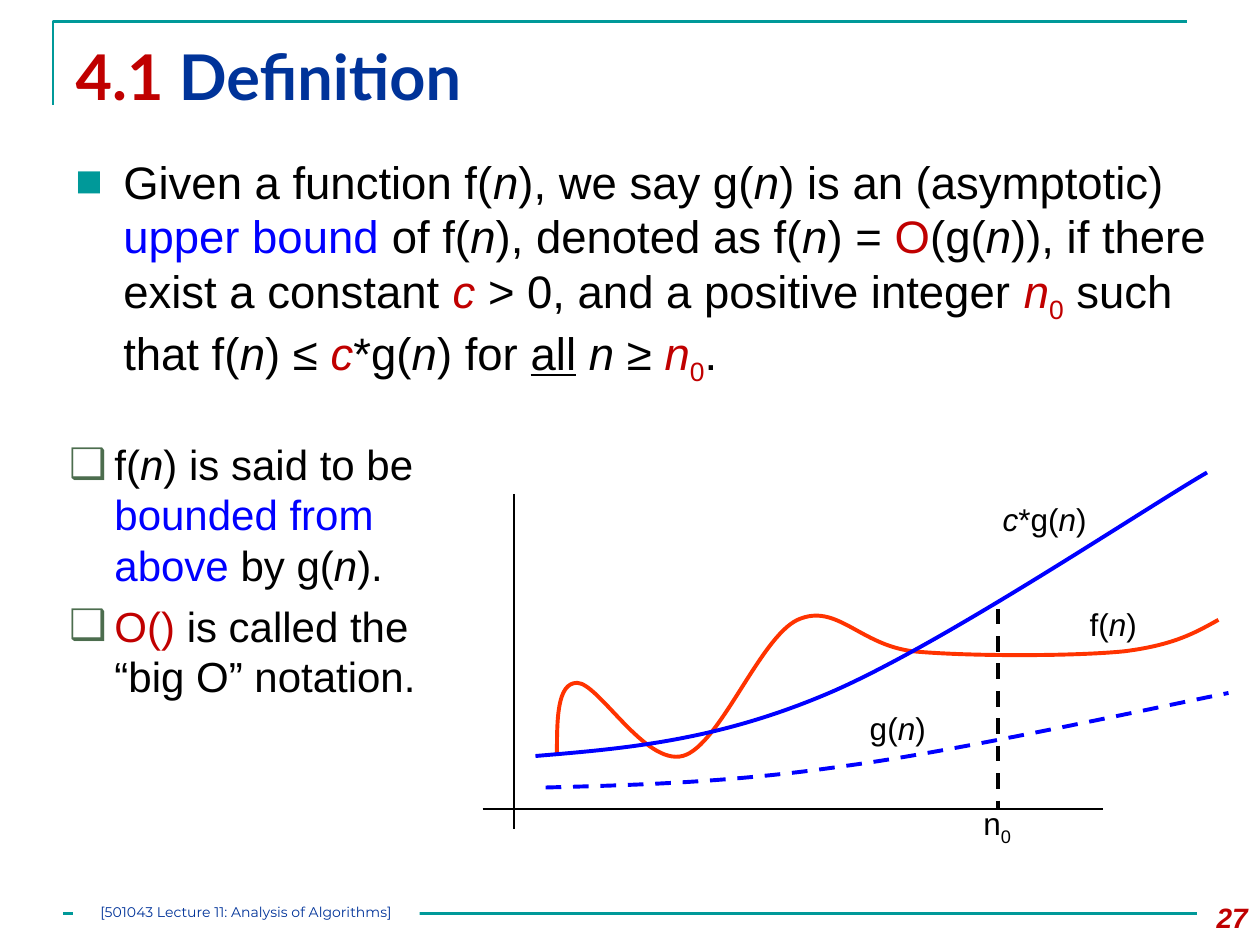
from lxml import etree
from pptx import Presentation
from pptx.dml.color import RGBColor
from pptx.enum import dml, shapes, text
from pptx.oxml import ns
from pptx.util import Inches, Pt

TEAL = RGBColor(0x00, 0x99, 0x99)
NAVY = RGBColor(0x00, 0x33, 0x99)
RED = RGBColor(0xC0, 0x00, 0x00)
BLUE = RGBColor(0x00, 0x00, 0xFF)
ORANGE = RGBColor(0xFF, 0x33, 0x00)
GREEN = RGBColor(0x4C, 0x6D, 0x4E)
BLACK = RGBColor(0x00, 0x00, 0x00)
WHITE = RGBColor(0xFF, 0xFF, 0xFF)

# Run styles: i italic, s subscript, u underlined, r red, b blue
N = ("n", "i")
N_ZERO = [("n", "ir"), ("0", "sr")]
DEFINITION = [
    ("Given a function f(", ""), N, ("), we say g(", ""), N,
    (") is an (asymptotic) ", ""), ("upper bound ", "b"), ("of f(", ""), N,
    ("), denoted as f(", ""), N, (") = ", ""), ("O", "r"), ("(g(", ""), N,
    (")), if there exist a constant ", ""), ("c ", "ir"),
    ("> 0, and a positive integer ", ""), *N_ZERO, (" such that f(", ""), N,
    (") ≤ ", ""), ("c", "ir"), ("*g(", ""), N, (") for ", ""), ("all", "u"),
    (" ", ""), N, (" ≥ ", ""), *N_ZERO, (".", ""),
]
REMARKS = [
    [("f(", ""), N, (") is said to be ", ""), ("bounded from above ", "b"),
     ("by g(", ""), N, (").", "")],
    [("O() ", "r"), ("is called the “big O” notation.", "")],
]
LABELS = [
    (7.75, 3.92, 1.08, [("c", "i"), ("*g(", ""), N, (")", "")]),
    (8.5, 4.75, 0.67, [("f(", ""), N, (")", "")]),
    (7.58, 6.33, 0.67, [("n", ""), ("0", "s")]),
    (6.75, 5.58, 0.75, [("g(", ""), N, (")", "")]),
]

# Curves: a start point, then Bézier pieces (two handles and an end point)
F_CURVE = [
    (4.42, 6), (4.42, 5.71), (4.42, 5.42), (4.58, 5.42),
    (4.75, 5.42), (5.12, 6.08), (5.42, 6),
    (5.71, 5.92), (6.03, 5.06), (6.33, 4.92),
    (6.64, 4.78), (6.82, 5.12), (7.25, 5.17),
    (7.68, 5.21), (8.51, 5.21), (8.92, 5.17),
    (9.32, 5.12), (9.49, 5.02), (9.67, 4.92),
]
CG_CURVE = [(4.25, 6), (4.97, 5.94), (5.69, 5.88), (6.58, 5.5),
            (7.47, 5.12), (9.08, 4.04), (9.58, 3.75)]
G_CURVE = [(4.33, 6.25), (5.07, 6.23), (5.8, 6.21), (6.7, 6.08),
           (7.61, 5.96), (9.24, 5.6), (9.75, 5.5)]


def style_line(line, color, width, dashed=False):
    line.color.rgb = color
    line.width = Pt(width)
    if dashed:
        line.dash_style = dml.MSO_LINE.DASH


def add_line(page, start, end, color, width, dashed=False):
    line = page.shapes.add_connector(
        shapes.MSO_CONNECTOR.STRAIGHT, *map(Inches, start + end))
    style_line(line.line, color, width, dashed)
    etree.SubElement(line._element.spPr, ns.qn("a:effectLst"))


def add_polyline(page, points, color, width, dashed=False):
    points = [(Inches(x), Inches(y)) for x, y in points]
    builder = page.shapes.build_freeform(*points[0])
    builder.add_line_segments(points[1:], close=False)
    outline = builder.convert_to_shape()
    outline.fill.background()
    outline.shadow.inherit = False
    style_line(outline.line, color, width, dashed)
    return outline


def add_curve(page, nodes, color, width, dashed=False):
    """Turn each three segments of a polyline into one Bézier piece."""
    outline = add_polyline(page, nodes, color, width, dashed)
    segments = list(outline._element.iter(ns.qn("a:lnTo")))
    for first in range(0, len(segments), 3):
        piece = etree.Element(ns.qn("a:cubicBezTo"))
        segments[first].addprevious(piece)
        for segment in segments[first:first + 3]:
            piece.append(segment[0])
            segment.getparent().remove(segment)


def add_run(para, words, size, color=BLACK, font="Arial"):
    span = para.add_run()
    span.text = words
    span.font.size = Pt(size)
    span.font.name = font
    span.font.color.rgb = color
    return span


def add_styled_runs(para, runs, size):
    for words, style in runs:
        color = RED if "r" in style else BLUE if "b" in style else BLACK
        span = add_run(para, words, size, color)
        span.font.italic = "i" in style
        span.font.underline = "u" in style
        if "s" in style:
            span._r.get_or_add_rPr().set("baseline", "-25000")


def add_box(page, left, top, width, height):
    box = page.shapes.add_textbox(*map(Inches, (left, top, width, height)))
    box.text_frame.word_wrap = True
    return box.text_frame


def set_bullet(para, symbol, color, margin, indent):
    props = para._p.get_or_add_pPr()
    props.set("marL", str(Inches(margin)))
    props.set("indent", str(Inches(indent)))
    tint = etree.SubElement(props, ns.qn("a:buClr"))
    etree.SubElement(tint, ns.qn("a:srgbClr"), val=str(color))
    etree.SubElement(props, ns.qn("a:buFont"), typeface="Arial")
    etree.SubElement(props, ns.qn("a:buChar"), char=symbol)


def add_bullets(frame, items, size, symbol, color, margin, indent):
    for index, runs in enumerate(items):
        para = frame.add_paragraph() if index else frame.paragraphs[0]
        para.space_before = Pt(6 if index else 0)
        set_bullet(para, symbol, color, margin, indent)
        add_styled_runs(para, runs, size)


def add_title(page):
    title = page.shapes.title
    title.left, title.top = Inches(0.5), Inches(0.25)
    title.width, title.height = Inches(9), Inches(0.86)
    frame = title.text_frame
    frame.auto_size = text.MSO_AUTO_SIZE.NONE
    frame.vertical_anchor = text.MSO_ANCHOR.TOP
    para = frame.paragraphs[0]
    para.alignment = text.PP_ALIGN.LEFT
    for words, color in (("4.1 ", RED), ("Definition", NAVY)):
        add_run(para, words, 36, color, "Lato").font.bold = True


def add_footer(page):
    add_line(page, (0.5, 7.25), (9.5, 7.25), TEAL, 1.5)
    plate = page.shapes.add_shape(
        shapes.MSO_SHAPE.RECTANGLE, *map(Inches, (0.58, 7.17, 2.75, 0.17)))
    plate.shadow.inherit = False
    plate.fill.solid()
    plate.fill.fore_color.rgb = WHITE
    plate.line.fill.background()
    frame = plate.text_frame
    frame.margin_left = frame.margin_right = 0
    frame.margin_top = frame.margin_bottom = 0
    frame.vertical_anchor = text.MSO_ANCHOR.TOP
    para = frame.paragraphs[0]
    para.alignment = text.PP_ALIGN.CENTER
    add_run(para, "[501043 Lecture 11: Analysis of Algorithms]", 8, NAVY,
            "Montserrat")
    para = add_box(page, 9.33, 7.1, 0.67, 0.4).paragraphs[0]
    para.alignment = text.PP_ALIGN.RIGHT
    number = add_run(para, "27", 16, RED)
    number.font.bold = number.font.italic = True


def add_graph(page):
    add_line(page, (3.83, 6.42), (8.75, 6.42), BLACK, 0.75)
    add_line(page, (4.08, 3.92), (4.08, 6.58), BLACK, 1)
    add_curve(page, F_CURVE, ORANGE, 2.25)
    add_curve(page, CG_CURVE, BLUE, 2.25)
    add_line(page, (7.92, 4.83), (7.92, 6.42), BLACK, 2.25, dashed=True)
    add_curve(page, G_CURVE, BLUE, 2.25, dashed=True)
    for left, top, width, runs in LABELS:
        para = add_box(page, left, top, width, 0.4).paragraphs[0]
        para.alignment = text.PP_ALIGN.CENTER
        add_styled_runs(para, runs, 18)


def main():
    deck = Presentation()
    deck.slide_width, deck.slide_height = Inches(10), Inches(7.5)
    page = deck.slides.add_slide(deck.slide_layouts[5])
    add_polyline(page, [(0.42, 0.83), (0.42, 0.17), (9.42, 0.17)], TEAL, 1.5)
    add_title(page)
    add_bullets(add_box(page, 0.5, 1.17, 9.25, 2), [DEFINITION], 26,
                "■", TEAL, 0.38, -0.38)
    add_bullets(add_box(page, 0.42, 3.43, 3.5, 2.83), REMARKS, 24,
                "❑", GREEN, 0.39, -0.36)
    add_graph(page)
    add_footer(page)
    deck.save("out.pptx")


if __name__ == "__main__":
    main()
